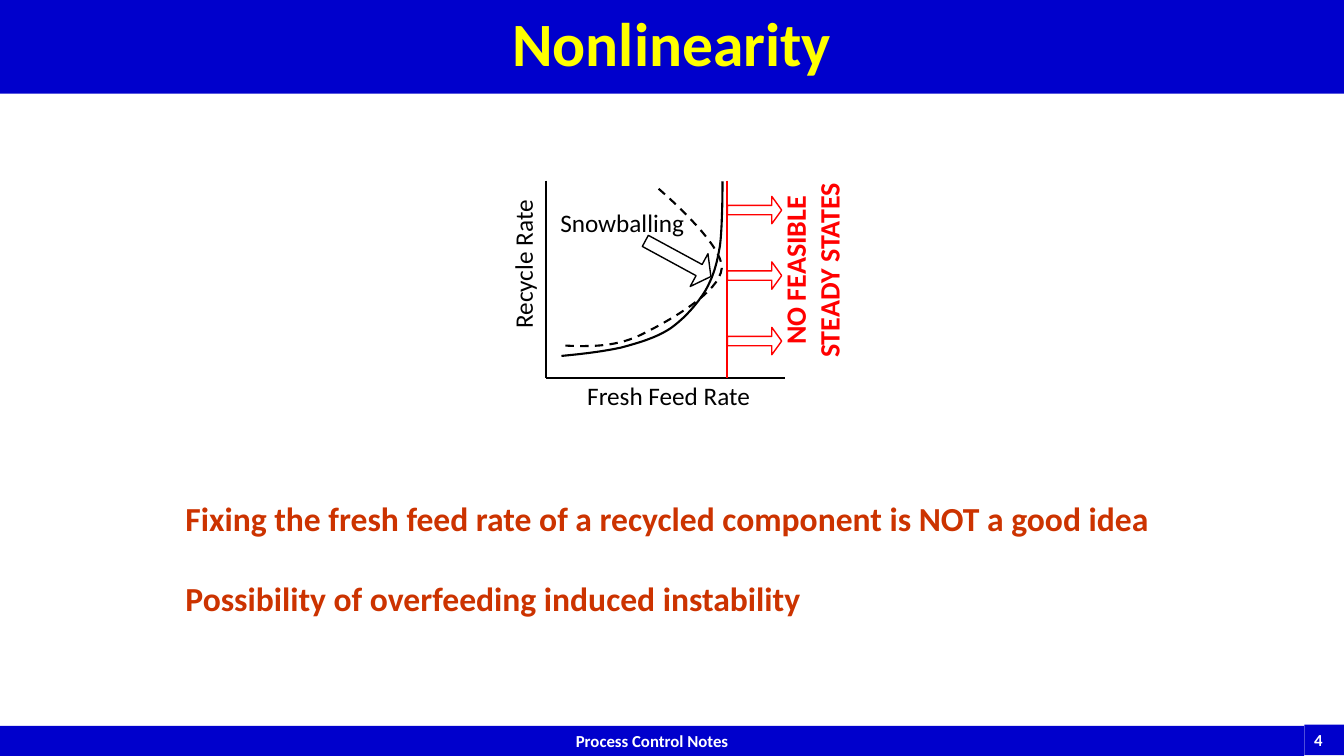
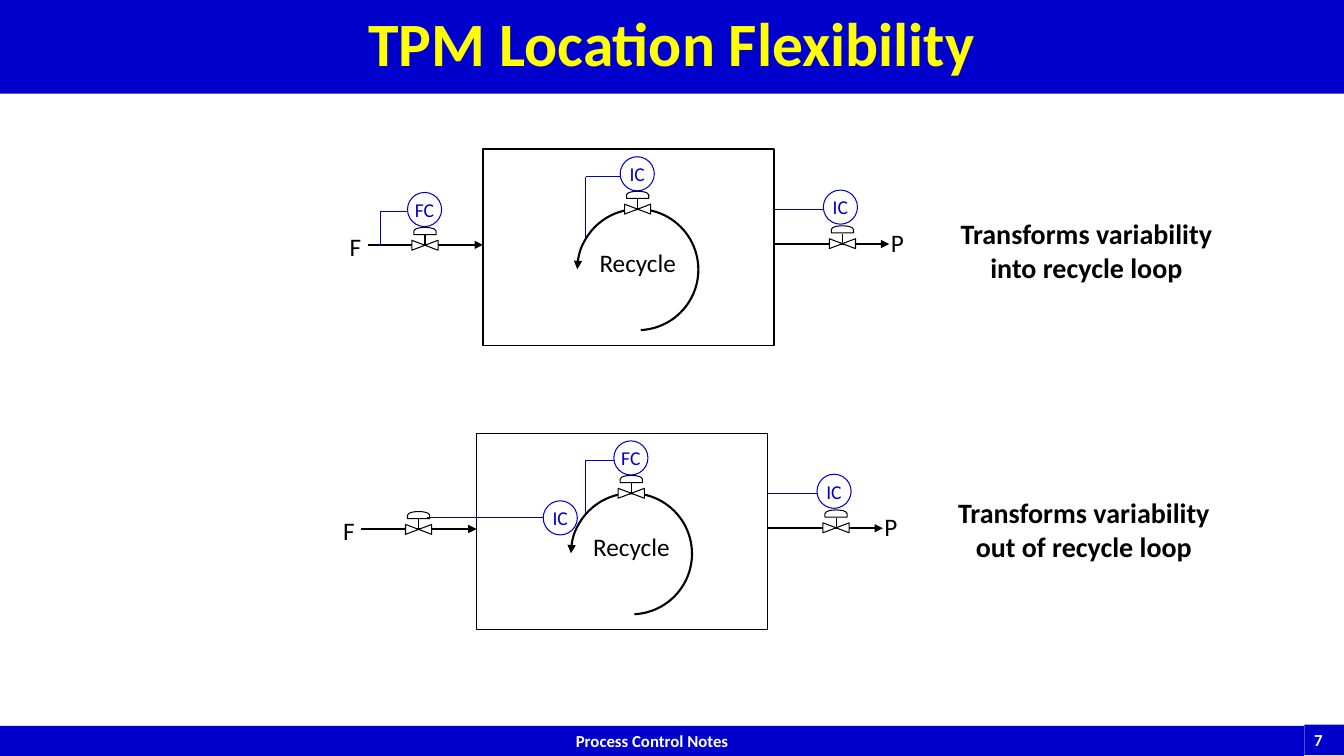
from dataclasses import dataclass
from itertools import pairwise
from typing import Optional

from lxml.etree import SubElement
from pptx import Presentation
from pptx.dml.color import RGBColor
from pptx.enum.dml import MSO_LINE
from pptx.enum.shapes import MSO_CONNECTOR, MSO_SHAPE
from pptx.enum.text import MSO_ANCHOR, MSO_AUTO_SIZE, PP_ALIGN
from pptx.oxml.ns import qn
from pptx.util import Cm, Pt

FONT = "Calibri"
BLUE, YELLOW, WHITE, BLACK = "0000CC", "FFFF00", "FFFFFF", "000000"
RED, RUST = "FF0000", "CC3300"
WIDTH, HEIGHT = 33.87, 19.05
FOOTER = "Process Control Notes"
TITLE_AND_BODY, TITLE_ONLY = 1, 5

Point = tuple[float, float]


@dataclass(frozen=True)
class Box:
    """A rectangle in centimetres."""
    left: float
    top: float
    width: float
    height: float

    def lengths(self) -> tuple:
        """Return the four lengths for python-pptx."""
        return Cm(self.left), Cm(self.top), Cm(self.width), Cm(self.height)

    def shifted(self, origin: Point) -> "Box":
        """Return the same box moved by an origin."""
        return Box(self.left + origin[0], self.top + origin[1], self.width, self.height)


@dataclass(frozen=True)
class Label:
    """A piece of text with its place and look."""
    text: str
    box: Box
    size: int = 18
    color: str = BLACK
    bold: bool = False
    wrap: bool = False
    vertical: bool = False


@dataclass(frozen=True)
class Controller:
    """A round controller and the signal line that belongs to it."""
    name: str
    center: Point
    signal: tuple[Point, ...]


@dataclass(frozen=True)
class Scheme:
    """A recycle process with its controllers and a remark."""
    origin: Point
    controllers: tuple[Controller, ...]
    remark: Label


def rgb(color: str) -> RGBColor:
    """Turn a hex string into a colour."""
    return RGBColor.from_string(color)


def centered(center: Point, width: float, height: float) -> Box:
    """Return a box around a centre."""
    return Box(center[0] - width / 2, center[1] - height / 2, width, height)


def moved(point: Point, origin: Point) -> Point:
    """Shift a point by an origin."""
    return point[0] + origin[0], point[1] + origin[1]


def format_paragraph(paragraph, size: int, color: str, bold: bool = False,
                     alignment=PP_ALIGN.LEFT) -> None:
    """Set the alignment of a paragraph and the font of its runs."""
    paragraph.alignment = alignment
    for run in paragraph.runs:
        font = run.font
        font.name, font.size, font.bold = FONT, Pt(size), bold
        font.color.rgb = rgb(color)


def set_line(shape, color: str, width: float) -> None:
    """Set the colour and width of an outline."""
    shape.line.color.rgb = rgb(color)
    shape.line.width = Pt(width)


def add_arrowhead(shape, end: str) -> None:
    """Put a triangle on the headEnd or tailEnd of a line."""
    outline = shape.element.spPr.find(qn("a:ln"))
    SubElement(outline, qn(f"a:{end}")).set("type", "triangle")


def add_line(slide, start: Point, finish: Point, color: str = BLACK,
             width: float = 1.5, arrow: bool = False) -> None:
    """Draw a straight line, with an arrowhead if asked."""
    connector = slide.shapes.add_connector(
        MSO_CONNECTOR.STRAIGHT, *(Cm(value) for value in (*start, *finish)))
    set_line(connector, color, width)
    SubElement(connector.element.spPr, qn("a:effectLst"))
    if arrow:
        add_arrowhead(connector, "tailEnd")


def add_preset(slide, kind, box: Box, fill: Optional[str] = None,
               line: Optional[str] = None, width: float = 1, rotation: float = 0,
               adjustments: tuple[float, ...] = ()):
    """Draw a preset shape without shadow."""
    shape = slide.shapes.add_shape(kind, *box.lengths())
    shape.shadow.inherit = False
    shape.rotation = rotation
    for index, value in enumerate(adjustments):
        shape.adjustments[index] = value
    if fill:
        shape.fill.solid()
        shape.fill.fore_color.rgb = rgb(fill)
    else:
        shape.fill.background()
    if line:
        set_line(shape, line, width)
    else:
        shape.line.fill.background()
    return shape


def add_label(slide, label: Label, origin: Point = (0, 0)) -> None:
    """Draw a text box; wrapped text is centred."""
    shape = slide.shapes.add_textbox(*label.box.shifted(origin).lengths())
    frame = shape.text_frame
    frame.word_wrap = label.wrap
    frame.auto_size = MSO_AUTO_SIZE.SHAPE_TO_FIT_TEXT
    frame.text = label.text
    format_paragraph(frame.paragraphs[0], label.size, label.color, label.bold,
                     PP_ALIGN.CENTER if label.wrap else PP_ALIGN.LEFT)
    if label.vertical:
        shape.element.txBody.find(qn("a:bodyPr")).set("vert", "vert270")


def add_curve(slide, start: Point, segments: tuple, dashed: bool = False) -> None:
    """Draw a chain of cubic curves, each given by two handles and an end."""
    steps = 16
    points = []
    begin = start
    for first, second, end in segments:
        for step in range(1, steps + 1):
            t = step / steps
            weights = ((1 - t) ** 3, 3 * t * (1 - t) ** 2, 3 * t ** 2 * (1 - t), t ** 3)
            corners = (begin, first, second, end)
            points.append(tuple(
                Cm(sum(weight * corner[axis] for weight, corner in zip(weights, corners)))
                for axis in (0, 1)))
        begin = end
    builder = slide.shapes.build_freeform(Cm(start[0]), Cm(start[1]))
    builder.add_line_segments(points, close=False)
    curve = builder.convert_to_shape()
    curve.shadow.inherit = False
    curve.fill.background()
    set_line(curve, BLACK, 1.5)
    if dashed:
        curve.line.dash_style = MSO_LINE.DASH


def add_band(slide, box: Box, text: str, alignment, wrap: bool) -> None:
    """Draw one part of the footer band."""
    band = add_preset(slide, MSO_SHAPE.RECTANGLE, box, fill=BLUE)
    band.text_frame.word_wrap = wrap
    band.text_frame.text = text
    format_paragraph(band.text_frame.paragraphs[0], 12, WHITE, True, alignment)


def start_slide(presentation, layout: int, title: str, number: int):
    """Add a slide with the shared footer and title band."""
    slide = presentation.slides.add_slide(presentation.slide_layouts[layout])
    add_band(slide, Box(0, 18.29, 32.87, 0.76), FOOTER, PP_ALIGN.CENTER, True)
    add_band(slide, Box(32.87, 18.26, 1, 0.77), str(number), PP_ALIGN.LEFT, False)
    shape = slide.shapes.title
    shape.left, shape.top, shape.width, shape.height = Box(0, 0, WIDTH, 2.36).lengths()
    shape.fill.solid()
    shape.fill.fore_color.rgb = rgb(BLUE)
    shape.text_frame.text = title
    shape.text_frame.vertical_anchor = MSO_ANCHOR.MIDDLE
    paragraph = shape.text_frame.paragraphs[0]
    paragraph.line_spacing = 0.9
    format_paragraph(paragraph, 44, YELLOW, True, PP_ALIGN.CENTER)
    return slide


def fill_body(slide, box: Box, lines: tuple[str, ...]) -> None:
    """Write plain statements into the body placeholder."""
    body = slide.placeholders[1]
    body.left, body.top, body.width, body.height = box.lengths()
    frame = body.text_frame
    frame.text = "\n".join(lines)
    frame.auto_size = MSO_AUTO_SIZE.NONE
    for index, paragraph in enumerate(frame.paragraphs):
        paragraph.space_before = Pt(28 if index else 0)
        format_paragraph(paragraph, 24, RUST, True)
        properties = paragraph._p.get_or_add_pPr()
        properties.set("marL", "0")
        properties.set("indent", "0")
        SubElement(properties, qn("a:buNone"))


def add_valve(slide, center: Point) -> None:
    """Draw a control valve with its stem and dome."""
    x, y = center
    add_preset(slide, MSO_SHAPE.FLOWCHART_COLLATE, centered(center, 0.25, 0.66),
               WHITE, BLACK, 0.75, 270)
    add_preset(slide, MSO_SHAPE.FLOWCHART_DELAY, centered((x, y - 0.36), 0.18, 0.56),
               WHITE, BLACK, 0.75, 270)
    add_line(slide, center, (x, y - 0.25), width=0.75)


def add_controller(slide, controller: Controller, origin: Point) -> None:
    """Draw a controller circle and its signal line."""
    circle = add_preset(slide, MSO_SHAPE.OVAL,
                        centered(moved(controller.center, origin), 0.86, 0.86),
                        line=BLUE, width=0.75)
    frame = circle.text_frame
    frame.margin_left = frame.margin_right = frame.margin_top = frame.margin_bottom = 0
    frame.word_wrap = False
    frame.text = controller.name
    format_paragraph(frame.paragraphs[0], 14, BLUE, alignment=PP_ALIGN.CENTER)
    for start, finish in pairwise(controller.signal):
        add_line(slide, moved(start, origin), moved(finish, origin), BLUE, 0.75)


def add_scheme(slide, scheme: Scheme) -> None:
    """Draw a process box with feed, product, recycle and controllers."""
    origin = scheme.origin
    add_preset(slide, MSO_SHAPE.RECTANGLE, Box(0, 0, 7.34, 4.95).shifted(origin), line=BLACK)
    for start, finish in (((-2.9, 2.41), (0, 2.41)), ((7.34, 2.39), (10.24, 2.39))):
        add_line(slide, moved(start, origin), moved(finish, origin), arrow=True)
    recycle = add_preset(slide, MSO_SHAPE.ARC, Box(2.38, 1.51, 3.05, 3.05).shifted(origin),
                         line=BLACK, width=1.5, adjustments=(108.27, 52.32))
    add_arrowhead(recycle, "headEnd")
    for label in (Label("F", Box(-3.61, 1.95, 0.81, 1.02)),
                  Label("P", Box(10.03, 1.84, 0.84, 1.02)),
                  Label("Recycle", Box(2.69, 2.35, 2.46, 1.02))):
        add_label(slide, label, origin)
    for center in ((-1.46, 2.42), (9.06, 2.38), (3.9, 1.51)):
        add_valve(slide, moved(center, origin))
    for controller in scheme.controllers:
        add_controller(slide, controller, origin)
    add_label(slide, scheme.remark)


def draw_nonlinearity(presentation) -> None:
    """Build the slide with the snowballing curve."""
    slide = start_slide(presentation, TITLE_AND_BODY, "Nonlinearity", 4)
    top, bottom, axis, limit = 4.55, 9.53, 13.77, 18.33
    add_line(slide, (axis, top), (axis, bottom))
    add_line(slide, (axis, bottom), (19.79, bottom))
    add_curve(slide, (14.25, 8.71), (
        ((14.91, 8.74), (15.57, 8.74), (16.21, 8.41)),
        ((16.87, 8.08), (18.14, 7.37), (18.19, 6.76)),
        ((18.24, 6.15), (16.59, 4.75), (16.59, 4.75))), dashed=True)
    add_line(slide, (limit, top), (limit, bottom), RED)
    proportions = (0.34, 0.36)
    for row in range(3):
        add_preset(slide, MSO_SHAPE.RIGHT_ARROW, Box(limit, 4.95 + 1.65 * row, 1.37, 0.69),
                   line=RED, adjustments=proportions)
    add_curve(slide, (14.15, 8.97), (
        ((14.68, 8.92), (15.19, 8.86), (15.65, 8.76)),
        ((16.1, 8.64), (16.54, 8.51), (16.89, 8.28)),
        ((17.25, 8.03), (17.58, 7.65), (17.78, 7.32)),
        ((17.98, 6.96), (18.06, 6.68), (18.14, 6.22)),
        ((18.21, 5.77), (18.21, 4.57), (18.21, 4.57))))
    add_preset(slide, MSO_SHAPE.RIGHT_ARROW, Box(16.15, 6.05, 1.88, 0.94), line=BLACK,
               rotation=28.5, adjustments=proportions)
    for label in (Label("Fresh Feed Rate", Box(14.55, 9.45, 4.67, 1.02)),
                  Label("Recycle Rate", Box(12.67, 5, 1.27, 3.53), vertical=True),
                  Label("NO FEASIBLE STEADY STATES", Box(19.48, 3.68, 2.24, 6.27),
                        20, RED, True, True, True),
                  Label("Snowballing", Box(13.87, 5.11, 3.66, 1.02))):
        add_label(slide, label)
    fill_body(slide, Box(4.42, 12.42, 25.02, 3.33), (
        "Fixing the fresh feed rate of a recycled component is NOT a good idea",
        "Possibility of overfeeding induced instability"))


def draw_flexibility(presentation) -> None:
    """Build the slide that compares two control schemes."""
    slide = start_slide(presentation, TITLE_ONLY, "TPM Location Flexibility", 7)
    product = Controller("IC", (9.01, 1.46), ((7.34, 1.52), (8.58, 1.52)))
    loop = (3.89, 0.62)
    add_scheme(slide, Scheme((12.17, 3.76), (
        Controller("FC", (-1.47, 1.52), ((-2.59, 2.41), (-2.59, 1.57), (-1.9, 1.57))),
        Controller("IC", loop, ((2.59, 2.26), (2.59, 0.69), (3.46, 0.69))), product),
        Label("Transforms variability into recycle loop", Box(23.8, 5.33, 7.16, 1.96),
              20, bold=True, wrap=True)))
    add_scheme(slide, Scheme((12.01, 10.92), (
        Controller("FC", loop, ((2.74, 2.03), (2.74, 0.69), (3.46, 0.69))),
        Controller("IC", (2.11, 2.13), ((-1.24, 2.13), (1.67, 2.13))), product),
        Label("Transforms variability out of recycle loop", Box(23.67, 12.37, 7.29, 1.96),
              20, bold=True, wrap=True)))


presentation = Presentation()
presentation.slide_width, presentation.slide_height = Cm(WIDTH), Cm(HEIGHT)
draw_nonlinearity(presentation)
draw_flexibility(presentation)
presentation.save("out.pptx")
